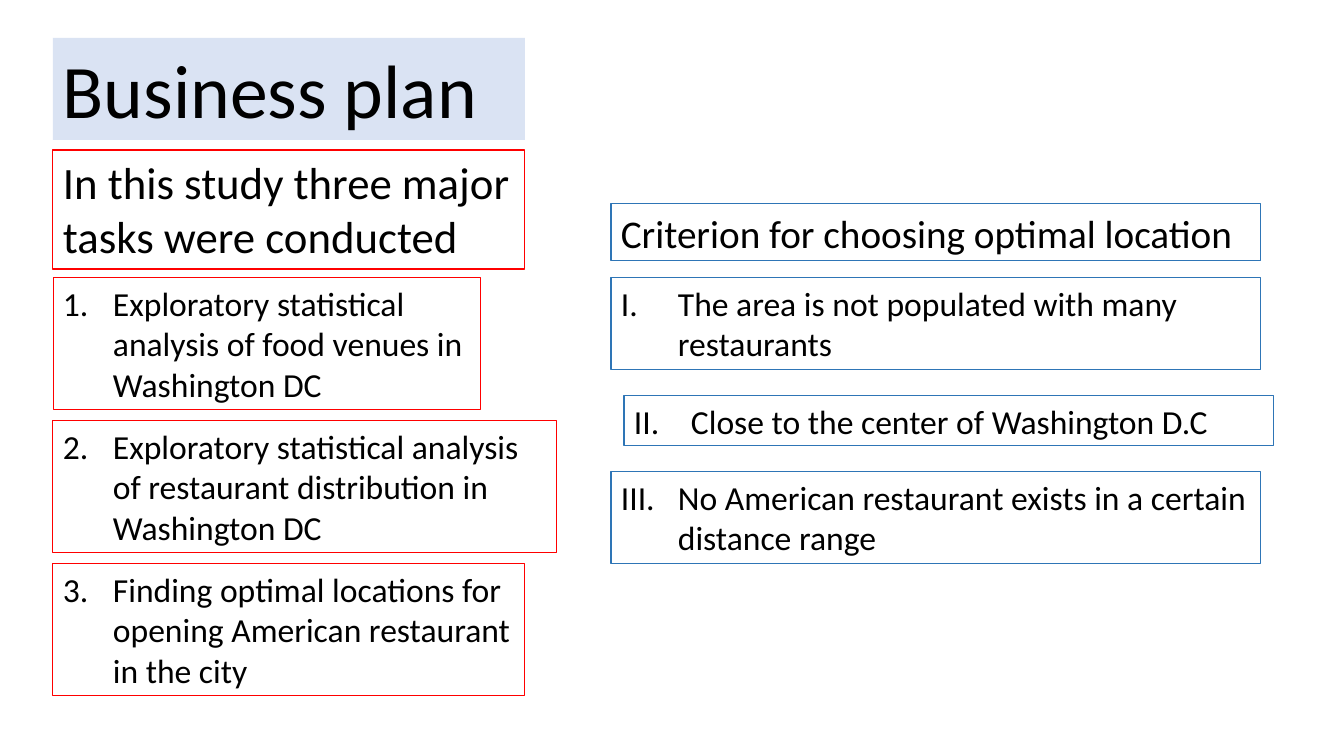
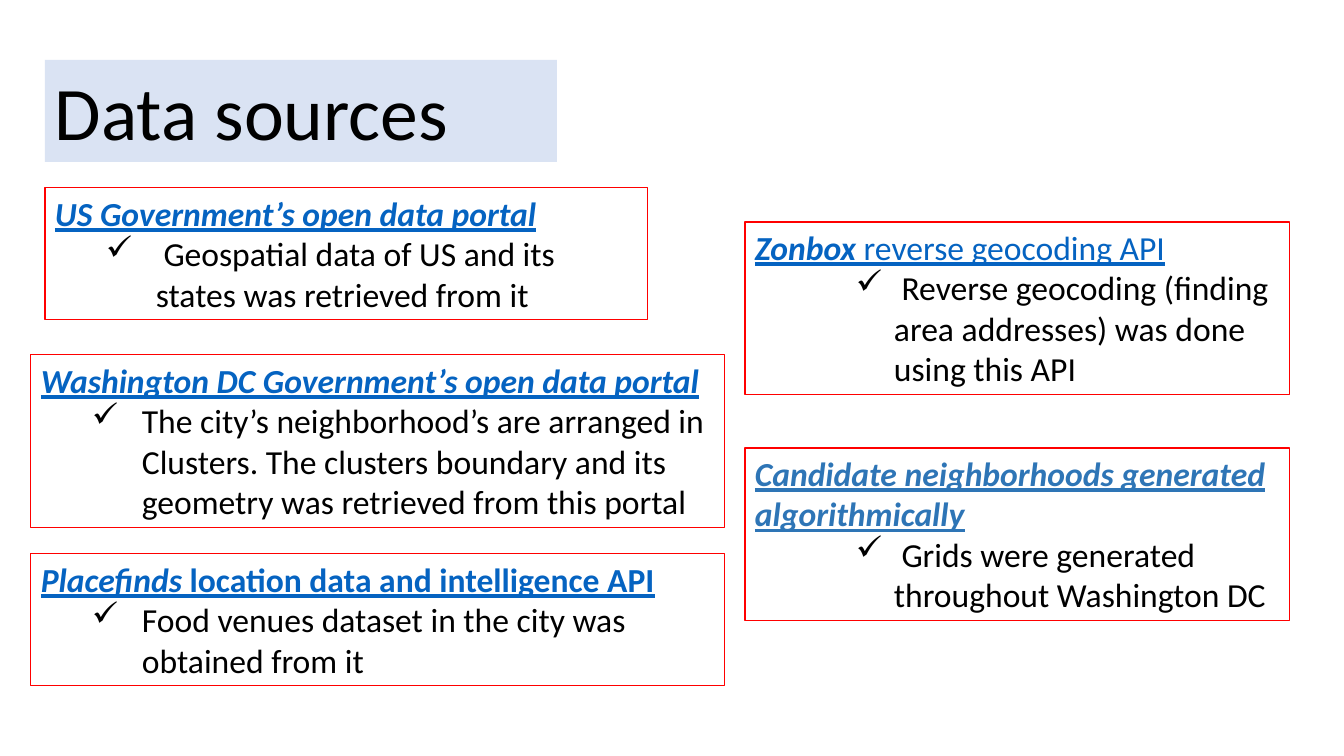
from dataclasses import dataclass
from typing import NamedTuple, Optional

from lxml import etree
from pptx import Presentation
from pptx.dml.color import RGBColor
from pptx.enum.text import MSO_AUTO_SIZE
from pptx.oxml.ns import qn
from pptx.util import Emu, Pt

FIT_SHAPE = MSO_AUTO_SIZE.SHAPE_TO_FIT_TEXT
SLIDE_WIDTH, SLIDE_HEIGHT = 1344, 756
EMU_PER_PIXEL = 12192000 / SLIDE_WIDTH
FONT = "Calibri"
TITLE_SIZE, BODY_SIZE = 54, 24
BLACK = RGBColor(0x00, 0x00, 0x00)
PALE_BLUE = RGBColor(0xDA, 0xE3, 0xF3)
RED = RGBColor(0xFF, 0x00, 0x00)
BLUE = RGBColor(0x2E, 0x75, 0xB6)
LINK_BLUE = RGBColor(0x05, 0x63, 0xC1)


class Area(NamedTuple):
    left: int
    top: int
    width: int
    height: int


@dataclass(frozen=True)
class Span:
    text: str
    bold: bool = False
    italic: bool = False
    underline: bool = False
    color: RGBColor = BLACK
    size: int = BODY_SIZE


@dataclass(frozen=True)
class Marker:
    tag: str
    attributes: dict[str, str]
    margin: int
    hanging: int
    level: int = 0


@dataclass(frozen=True)
class Line:
    spans: list[Span]
    marker: Optional[Marker] = None


@dataclass(frozen=True)
class Source:
    area: Area
    heading: list[Span]
    detail: list[Span]
    marker: Marker


def px(pixels: int) -> Emu:
    return Emu(round(pixels * EMU_PER_PIXEL))


def number(scheme: str, start: int, indent: int) -> Marker:
    return Marker("a:buAutoNum", {"type": scheme, "startAt": str(start)}, indent, indent)


def check(margin: int, hanging: int, level: int) -> Marker:
    return Marker("a:buChar", {"char": "✓"}, margin, hanging, level)


def link(text: str, bold: bool = True, italic: bool = True, color: RGBColor = LINK_BLUE) -> Span:
    return Span(text, bold, italic, True, color)


def apply_marker(paragraph, marker: Marker) -> None:
    paragraph.level = marker.level
    properties = paragraph._p.get_or_add_pPr()
    properties.set("marL", str(px(marker.margin)))
    properties.set("indent", str(-px(marker.hanging)))
    etree.SubElement(properties, qn(marker.tag), marker.attributes)


def write_line(paragraph, line: Line) -> None:
    paragraph.text = line.spans[0].text
    for extra in line.spans[1:]:
        paragraph.add_run().text = extra.text
    for run, span in zip(paragraph.runs, line.spans):
        font = run.font
        font.name = FONT
        font.size = Pt(span.size)
        font.bold = span.bold
        font.italic = span.italic
        font.underline = span.underline
        font.color.rgb = span.color
    if line.marker:
        apply_marker(paragraph, line.marker)


def draw_box(slide, area: Area, lines: list[Line], border: Optional[RGBColor] = None):
    box = slide.shapes.add_textbox(*map(px, area))
    frame = box.text_frame
    frame.word_wrap = True
    frame.auto_size = FIT_SHAPE
    for index, line in enumerate(lines):
        write_line(frame.add_paragraph() if index else frame.paragraphs[0], line)
    if border is not None:
        box.line.color.rgb = border
        box.line.width = Pt(0.75)
    return box


def draw_title(slide, area: Area, text: str) -> None:
    title = draw_box(slide, area, [Line([Span(text, size=TITLE_SIZE)])])
    title.fill.solid()
    title.fill.fore_color.rgb = PALE_BLUE


def draw_numbered(slide, items: list[tuple[Area, str]], scheme: str, indent: int,
                  border: RGBColor) -> None:
    for start, (area, text) in enumerate(items, 1):
        draw_box(slide, area, [Line([Span(text)], number(scheme, start, indent))], border)


def draw_source(slide, source: Source) -> None:
    lines = [Line(source.heading), Line(source.detail, source.marker)]
    draw_box(slide, source.area, lines, RED)


TASK_LEFT, TASK_TOP, TASK_HEIGHT, TASK_PITCH = 53, 278, 132, 143
TASK_WIDTHS_AND_TEXTS = [
    (428, "Exploratory statistical analysis of food venues in Washington DC"),
    (504, "Exploratory statistical analysis of restaurant distribution in Washington DC"),
    (472, "Finding optimal locations for opening American restaurant in the city"),
]
TASKS = [
    (Area(TASK_LEFT, TASK_TOP + row * TASK_PITCH, width, TASK_HEIGHT), text)
    for row, (width, text) in enumerate(TASK_WIDTHS_AND_TEXTS)
]

CRITERIA_LEFT, CRITERIA_WIDTH = 611, 650
CRITERIA = [
    (Area(CRITERIA_LEFT, 278, CRITERIA_WIDTH, 92),
     "The area is not populated with many restaurants"),
    (Area(624, 396, CRITERIA_WIDTH, 50), "Close to the center of Washington D.C "),
    (Area(CRITERIA_LEFT, 472, CRITERIA_WIDTH, 92),
     "No American restaurant exists in a certain distance range"),
]

PORTAL_CHECK = check(101, 50, 1)
METHOD_CHECK = check(139, 38, 2)
SOURCES = [
    Source(Area(31, 355, 694, 173),
           [link("Washington DC Government’s open data portal")],
           [Span("The city’s neighborhood’s are arranged in Clusters. The clusters "
                 "boundary and its geometry was retrieved from this portal")],
           PORTAL_CHECK),
    Source(Area(45, 188, 603, 132),
           [link("US Government’s open data portal")],
           [Span(" ", bold=True, italic=True),
            Span("Geospatial data of US and its states was retrieved from it")],
           PORTAL_CHECK),
    Source(Area(31, 554, 694, 132),
           [link("Placefinds "), link("location data and intelligence API", italic=False)],
           [Span("Food venues dataset in the city was obtained from it")],
           PORTAL_CHECK),
    Source(Area(745, 222, 545, 173),
           [link("Zonbox"), link(" reverse geocoding API", bold=False, italic=False)],
           [Span(" Reverse geocoding (finding area addresses) was done using this API")],
           METHOD_CHECK),
    Source(Area(745, 448, 545, 173),
           [link("Candidate neighborhoods generated algorithmically", color=BLUE)],
           [Span(" Grids were generated throughout Washington DC ")],
           METHOD_CHECK),
]


def build_business_plan(slide) -> None:
    draw_title(slide, Area(TASK_LEFT, 38, 472, 102), "Business plan")
    tasks_heading = Span("In this study three major tasks were conducted", size=32)
    draw_box(slide, Area(TASK_LEFT, 150, 472, 119), [Line([tasks_heading])], RED)
    draw_numbered(slide, TASKS, "arabicPeriod", 50, RED)
    criteria_heading = Span("Criterion for choosing optimal location", size=28)
    draw_box(slide, Area(CRITERIA_LEFT, 204, CRITERIA_WIDTH, 57),
             [Line([criteria_heading])], BLUE)
    draw_numbered(slide, CRITERIA, "romanUcPeriod", 57, BLUE)


def build_data_sources(slide) -> None:
    draw_title(slide, Area(45, 60, 512, 102), "Data sources")
    for source in SOURCES:
        draw_source(slide, source)


presentation = Presentation()
presentation.slide_width = px(SLIDE_WIDTH)
presentation.slide_height = px(SLIDE_HEIGHT)
blank_layout = presentation.slide_layouts[6]
for build in (build_business_plan, build_data_sources):
    build(presentation.slides.add_slide(blank_layout))
presentation.save("out.pptx")
